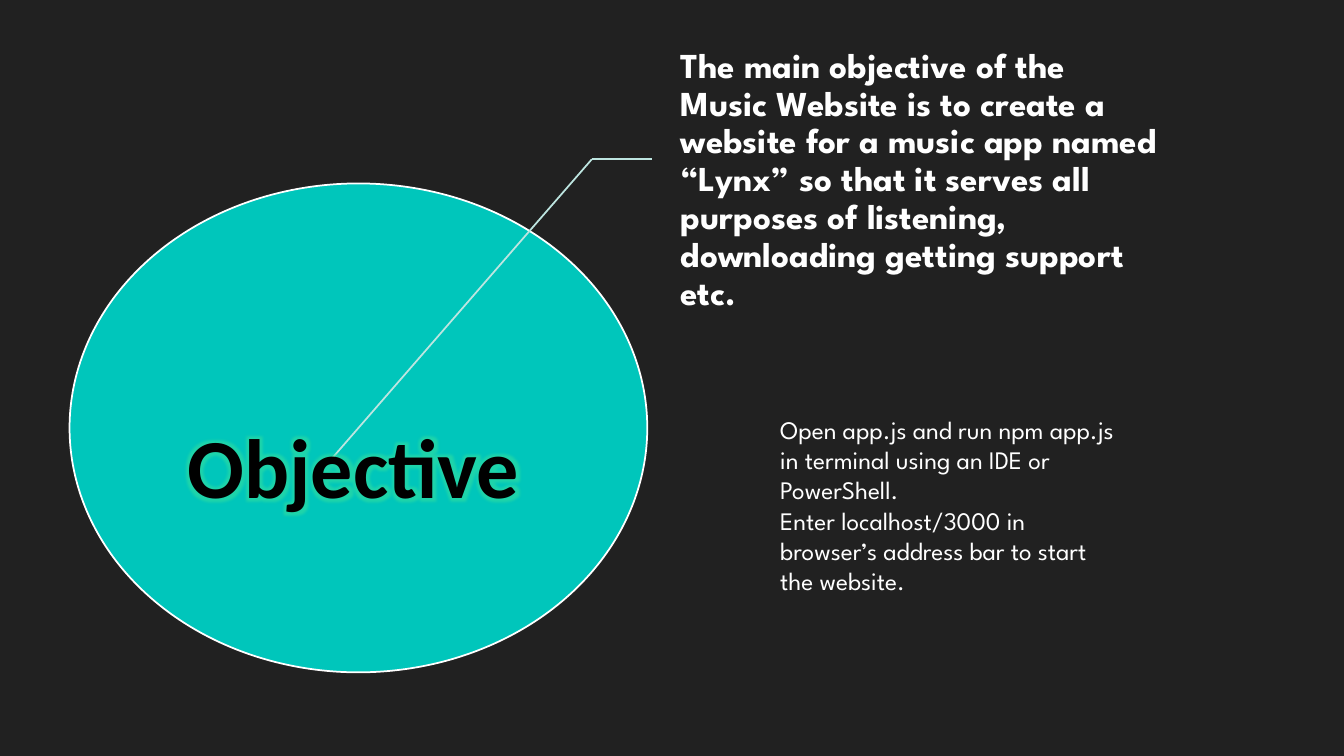
import pptx
import pptx.util
from lxml import etree
from pptx.dml.color import RGBColor
from pptx.enum.shapes import MSO_CONNECTOR, MSO_SHAPE
from pptx.enum.text import MSO_ANCHOR, MSO_AUTO_SIZE, PP_ALIGN
from pptx.oxml import parse_xml
from pptx.oxml.ns import nsdecls, qn
from pptx.util import Inches, Pt

WIDTH, HEIGHT = Inches(13.33), Inches(7.5)
COLUMNS, ROWS = 133.3, 75

BACKGROUND = RGBColor(0x21, 0x21, 0x21)
TEAL = RGBColor(0x00, 0xC6, 0xBB)
PALE_TEAL = RGBColor(0xBD, 0xE5, 0xE0)
GLOW_GREEN = RGBColor(0x35, 0xE0, 0xA0)
WHITE = RGBColor(0xFF, 0xFF, 0xFF)
BLACK = RGBColor(0x00, 0x00, 0x00)

BODY_FONT = "League Spartan"
TITLE_FONT = "Calibri"

OBJECTIVE = ("The main objective of the Music Website is to create a website "
             "for a music app named “Lynx” so that it serves all purposes of "
             "listening, downloading getting support etc.")
STEPS = [
    "Open app.js and run npm app.js in terminal using an IDE or PowerShell.",
    "Enter localhost/3000 in browser’s address bar to start the website.",
]


def grid(column, row):
    """Turn a column and a row of the slide grid into slide lengths."""
    return round(WIDTH * column / COLUMNS), round(HEIGHT * row / ROWS)


def add_disc(slide, column, row, columns, rows):
    disc = slide.shapes.add_shape(
        MSO_SHAPE.OVAL, *grid(column, row), *grid(columns, rows))
    disc.shadow.inherit = False
    disc.fill.solid()
    disc.fill.fore_color.rgb = TEAL
    disc.line.color.rgb = WHITE
    disc.line.width = Pt(1.25)


def add_leader(slide, start, end):
    leader = slide.shapes.add_connector(
        MSO_CONNECTOR.STRAIGHT, *grid(*start), *grid(*end))
    leader.line.color.rgb = PALE_TEAL
    leader.line.width = Pt(1.25)
    etree.SubElement(leader._element.spPr, qn("a:effectLst"))


def format_paragraph(paragraph, font, size, color, bold=False):
    paragraph.alignment = PP_ALIGN.LEFT
    for run in paragraph.runs:
        run.font.name = font
        run.font.size = Pt(size)
        run.font.bold = bold
        run.font.color.rgb = color


def add_text(slide, column, row, columns, rows, lines, size, bold=False):
    box = slide.shapes.add_textbox(*grid(column, row), *grid(columns, rows))
    frame = box.text_frame
    frame.word_wrap = True
    frame.text = "\n".join(lines)
    for paragraph in frame.paragraphs:
        format_paragraph(paragraph, BODY_FONT, size, WHITE, bold)
    return frame


def add_glow(run):
    """Give a coloured run a thin white outline and a green glow."""
    properties = run._r.get_or_add_rPr()
    outline = parse_xml(
        f'<a:ln {nsdecls("a")} w="{Pt(0.75)}"><a:solidFill>'
        f'<a:srgbClr val="{WHITE}"/></a:solidFill></a:ln>')
    glow = parse_xml(
        f'<a:effectLst {nsdecls("a")}><a:glow rad="{Pt(8)}">'
        f'<a:srgbClr val="{GLOW_GREEN}"><a:alpha val="60000"/></a:srgbClr>'
        '</a:glow></a:effectLst>')
    properties.find(qn("a:solidFill")).addnext(glow)
    properties.insert(0, outline)


def place_title(slide, column, row, columns, rows, text):
    title = slide.shapes.title
    title.left, title.top = grid(column, row)
    title.width, title.height = grid(columns, rows)
    frame = title.text_frame
    frame.text = text
    frame.word_wrap = True
    frame.auto_size = MSO_AUTO_SIZE.SHAPE_TO_FIT_TEXT
    frame.vertical_anchor = MSO_ANCHOR.TOP
    format_paragraph(frame.paragraphs[0], TITLE_FONT, 60, BLACK, bold=True)
    add_glow(frame.paragraphs[0].runs[0])
    # The title lies in front of the disc.
    slide.shapes._spTree.append(title._element)


def main():
    deck = pptx.Presentation()
    deck.slide_width, deck.slide_height = WIDTH, HEIGHT
    slide = deck.slides.add_slide(deck.slide_layouts.get_by_name("Title Only"))
    slide.background.fill.solid()
    slide.background.fill.fore_color.rgb = BACKGROUND

    add_disc(slide, 6.9, 18.2, 57.3, 48.5)
    objective = add_text(slide, 65.6, 3.7, 49.5, 28.4, [OBJECTIVE], 25, bold=True)
    objective.vertical_anchor = MSO_ANCHOR.MIDDLE
    objective.margin_left = Inches(0.19)
    objective.margin_top = objective.margin_right = Inches(0.03)
    objective.margin_bottom = Inches(0.03)
    objective.paragraphs[0].line_spacing = 0.9

    bend = (58.7, 15.8)
    add_leader(slide, bend, (64.7, 15.8))
    add_leader(slide, bend, (32.3, 46.2))

    place_title(slide, 17.6, 40.6, 35.5, 11.1, "Objective")
    steps = add_text(slide, 76.4, 40.6, 35.5, 19.2, STEPS, 18)
    steps.auto_size = MSO_AUTO_SIZE.SHAPE_TO_FIT_TEXT

    deck.save("out.pptx")


if __name__ == "__main__":
    main()
